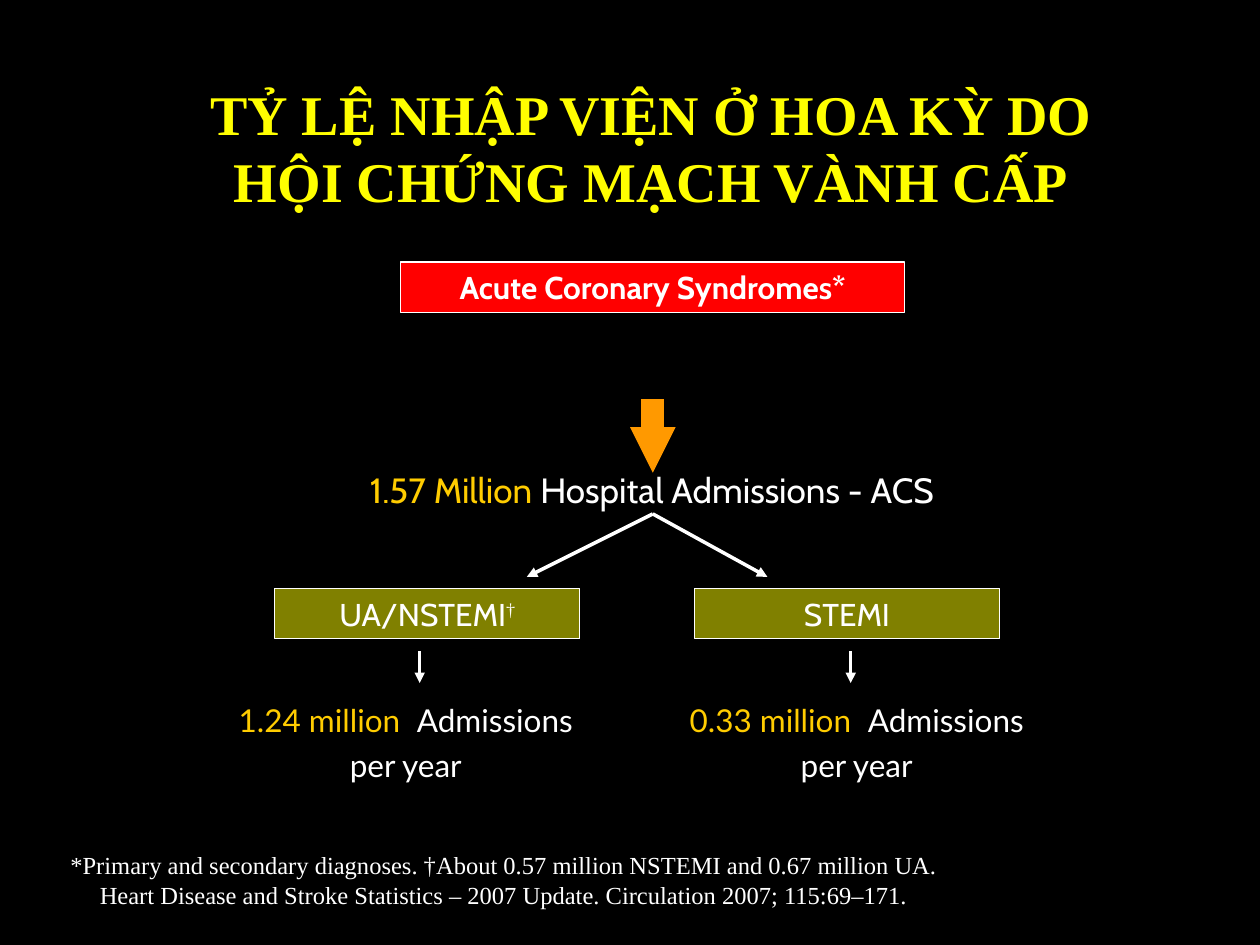
"""Build the slide on US hospital admissions for acute coronary syndromes."""
from lxml.etree import SubElement
from pptx import Presentation
from pptx.dml.color import RGBColor
from pptx.enum.shapes import MSO_CONNECTOR as CONN, MSO_SHAPE as SHAPE
from pptx.enum.text import MSO_ANCHOR as ANCHOR, PP_ALIGN as ALIGN
from pptx.oxml.ns import qn
from pptx.util import Cm, Pt

BLACK = RGBColor(0x00, 0x00, 0x00)
WHITE = RGBColor(0xFF, 0xFF, 0xFF)
YELLOW = RGBColor(0xFF, 0xFE, 0x00)
GOLD = RGBColor(0xFF, 0xCC, 0x00)
ORANGE = RGBColor(0xFF, 0x99, 0x00)
RED = RGBColor(0xFF, 0x00, 0x00)
OLIVE = RGBColor(0x80, 0x80, 0x00)
SERIF = "Times New Roman"


def write(tf, paragraphs):
    tf.word_wrap = True
    for i, runs in enumerate(paragraphs):
        p = tf.paragraphs[0] if i == 0 else tf.add_paragraph()
        p.alignment = ALIGN.CENTER
        for text, size, name, color, bold in runs:
            r = p.add_run()
            r.text = text
            r.font.color.rgb = color
            for key, value in {"size": Pt(size), "name": name, "bold": bold}.items():
                setattr(r.font, key, value)


prs = Presentation()
prs.slide_width, prs.slide_height = Cm(25.4), Cm(19.05)
s = prs.slides.add_slide(prs.slide_layouts[6])
s.background.fill.solid()
s.background.fill.fore_color.rgb = BLACK

texts = [
    ((2.97, 1.47, 20.32, 3), [[
        ("TỶ LỆ NHẬP VIỆN Ở HOA KỲ DO HỘI CHỨNG MẠCH VÀNH CẤP", 32, SERIF, YELLOW, True)]]),
    ((5.31, 9.32, 15.67, 1.12), [[
        ("1.57 Million", 20, "Cabin", GOLD, False),
        (" Hospital Admissions - ACS", 20, "Cabin", WHITE, False)]]),
    ((0, 17.02, 20.32, 1.45), [
        [("*Primary and secondary diagnoses. †About 0.57 million NSTEMI and 0.67 million UA.",
          14, SERIF, WHITE, False)],
        [("Heart Disease and Stroke Statistics – 2007 Update. Circulation 2007; 115:69–171.",
          14, SERIF, WHITE, False)]]),
]
for x, amount in [(4.27, "1.24 million"), (13.36, "0.33 million")]:
    texts.append(((x, 13.34, 7.82, 2.62), [[
        (amount, 18, "Lato", GOLD, False),
        (" ", 37, "Lato", WHITE, False),
        ("Admissions per year", 18, "Lato", WHITE, False)]]))
for box, paragraphs in texts:
    sp = s.shapes.add_textbox(*map(Cm, box))
    write(sp.text_frame, paragraphs)

boxes = [
    ((8.08, 5.28, 10.16, 1.02), RED, [("Acute Coronary Syndromes*", 18, "Cabin", WHITE, True)]),
    ((5.54, 11.86, 6.15, 1.02), OLIVE, [("UA/NSTEMI", 18, "Cabin", WHITE, False),
                                        ("†", 18, SERIF, WHITE, False)]),
    ((14, 11.86, 6.15, 1.02), OLIVE, [("STEMI", 18, "Cabin", WHITE, False)]),
]
for box, fill, runs in boxes:
    sp = s.shapes.add_shape(SHAPE.RECTANGLE, *map(Cm, box))
    sp.shadow.inherit = False
    sp.fill.solid()
    sp.fill.fore_color.rgb = fill
    sp.line.color.rgb = WHITE
    sp.line.width = Pt(0.75)
    tf = sp.text_frame
    tf.vertical_anchor = ANCHOR.MIDDLE
    write(tf, [runs])
    for r in tf.paragraphs[0].runs:
        if r.text == "†":
            r.font._element.set("baseline", "30000")

arrows = [
    ((13.16, 8.05, 13.16, 9.53), ORANGE, 13, "sm"),
    ((13.16, 10.36, 10.62, 11.63), WHITE, 2, "med"),
    ((13.16, 10.36, 15.47, 11.63), WHITE, 2, "med"),
    ((8.46, 13.13, 8.46, 13.77), WHITE, 2, "med"),
    ((17.15, 13.13, 17.15, 13.77), WHITE, 2, "med"),
]
for ends, color, width, head in arrows:
    sp = s.shapes.add_connector(CONN.STRAIGHT, *map(Cm, ends))
    sp.line.color.rgb = color
    sp.line.width = Pt(width)
    SubElement(sp.line._get_or_add_ln(), qn("a:tailEnd"), type="triangle", w=head, len=head)
    SubElement(sp._element.spPr, qn("a:effectLst"))

prs.save("out.pptx")
